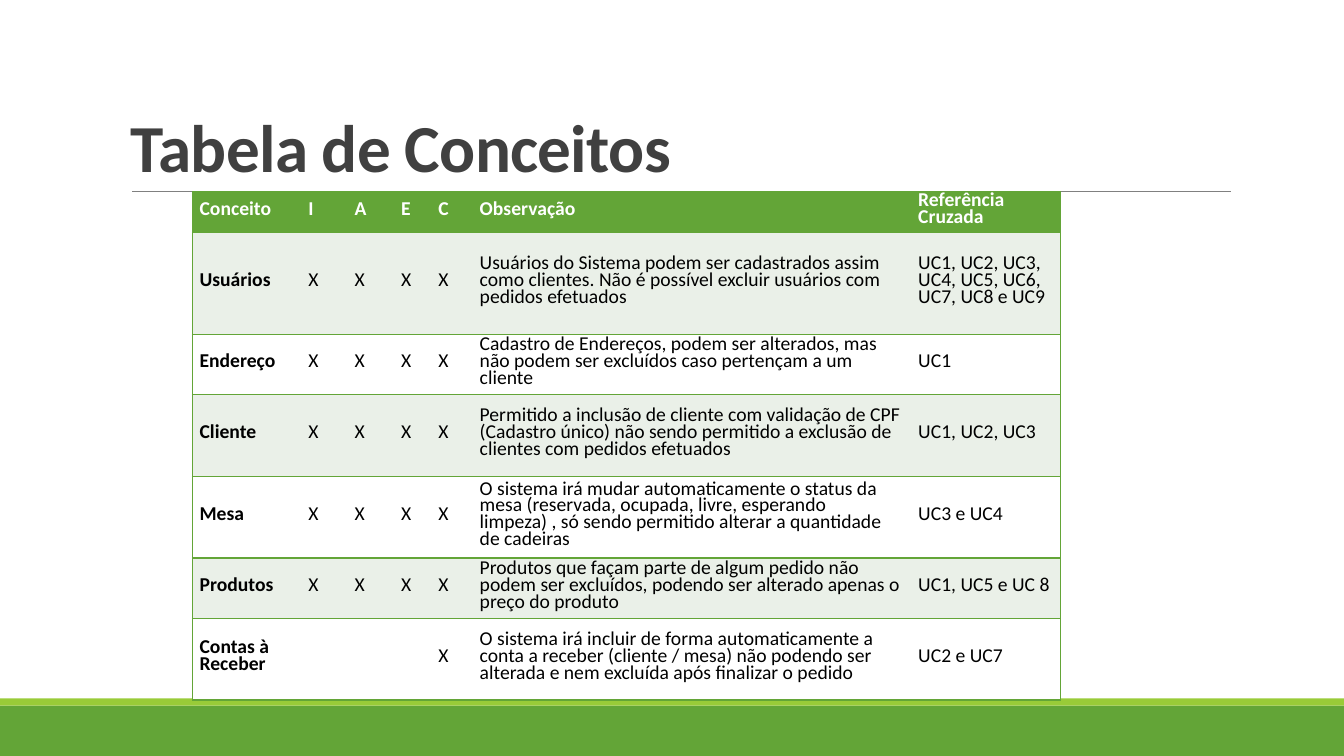
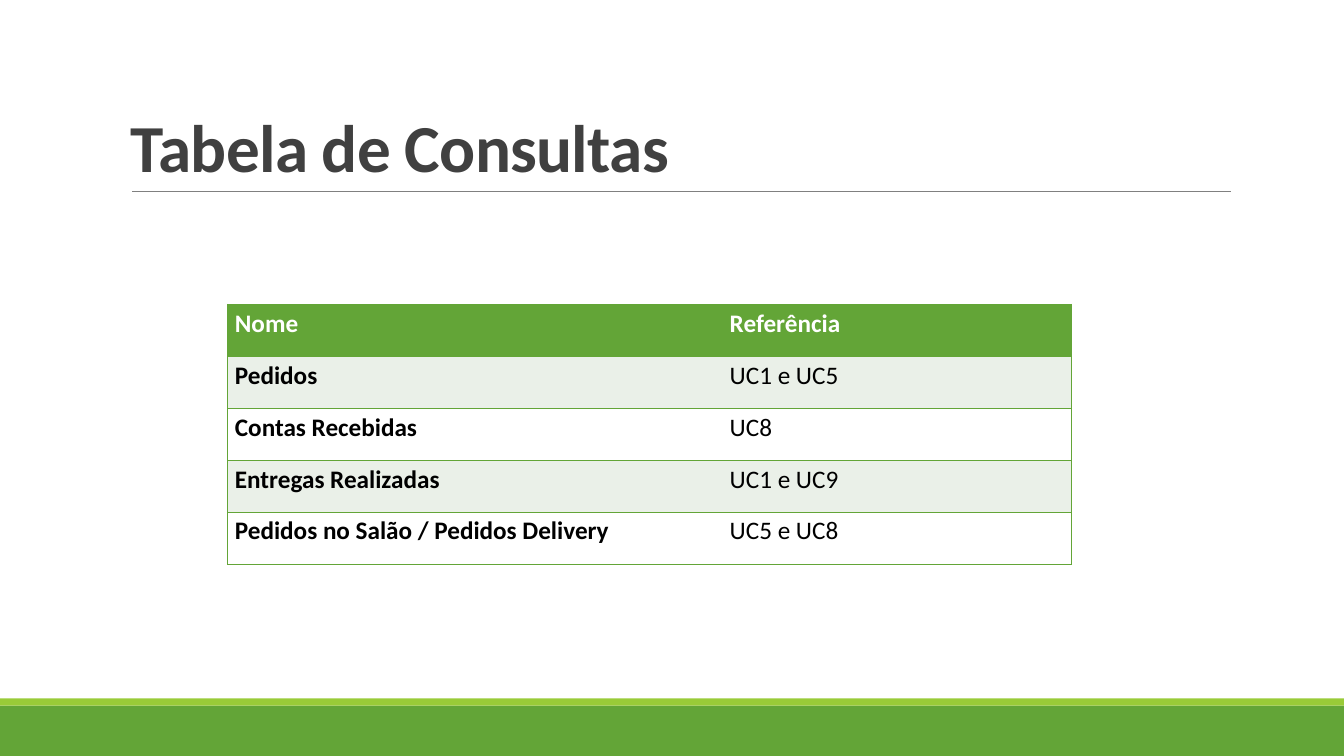
from lxml import etree
from pptx import Presentation
from pptx.dml.color import RGBColor
from pptx.enum import shapes, text
from pptx.oxml import ns
from pptx.util import Cm, Pt

GREEN = RGBColor(0x63, 0xA5, 0x37)
LIME = RGBColor(0x99, 0xCB, 0x38)
GRAY = RGBColor(0x80, 0x80, 0x80)
DARK = RGBColor(0x40, 0x40, 0x40)
PALE = RGBColor(0xEA, 0xF0, 0xE8)
WHITE = RGBColor(0xFF, 0xFF, 0xFF)
BLACK = RGBColor(0, 0, 0)

FONT = "Calibri"
SLIDE_WIDTH, SLIDE_HEIGHT = 33.87, 19.05
RULE_LEFT, RULE_RIGHT, RULE_TOP = 3.33, 31.01, 4.83

CONCEPT_COLUMNS = [2.74, 1.17, 1.17, 0.94, 1.04, 11.05, 3.76]
CONCEPT_ROWS = [1.02, 2.57, 1.52, 2.06, 2.06, 1.52, 2.06]
CONCEPTS = [
    ["Conceito", "I", "A", "E", "C", "Observação", "Referência Cruzada"],
    ["Usuários", *"XXXX",
     "Usuários do Sistema podem ser cadastrados assim como clientes. "
     "Não é possível excluir usuários com pedidos efetuados",
     "UC1, UC2, UC3, UC4, UC5, UC6, UC7, UC8 e UC9"],
    ["Endereço", *"XXXX",
     "Cadastro de Endereços, podem ser alterados, mas não podem ser "
     "excluídos caso pertençam a um cliente",
     "UC1"],
    ["Cliente", *"XXXX",
     "Permitido a inclusão de cliente com validação de CPF (Cadastro único) "
     "não sendo permitido a exclusão de clientes com pedidos efetuados",
     "UC1, UC2, UC3"],
    ["Mesa", *"XXXX",
     "O sistema irá mudar automaticamente o status da mesa (reservada, "
     "ocupada, livre, esperando limpeza) , só sendo permitido alterar a "
     "quantidade de cadeiras",
     "UC3 e UC4"],
    ["Produtos", *"XXXX",
     "Produtos que façam parte de algum pedido não podem ser excluídos, "
     "podendo ser alterado apenas o preço do produto",
     "UC1, UC5 e UC 8"],
    ["Contas à Receber", "", "", "", "X",
     "O sistema irá incluir de forma automaticamente a conta a receber "
     "(cliente / mesa) não podendo ser alterada e nem excluída após "
     "finalizar o pedido",
     "UC2 e UC7"],
]

QUERY_COLUMNS = [12.47, 8.79]
QUERIES = [
    ["Nome", "Referência"],
    ["Pedidos", "UC1 e UC5"],
    ["Contas Recebidas", "UC8"],
    ["Entregas Realizadas", "UC1 e UC9"],
    ["Pedidos no Salão / Pedidos Delivery", "UC5 e UC8"],
]


def write(frame, words, *, size, color, bold=False, line_spacing=None, tracking=None):
    paragraph = frame.paragraphs[0]
    paragraph.line_spacing = line_spacing
    paragraph.font.size = Pt(size)
    if not words:
        return
    run = paragraph.add_run()
    run.text = words
    run.font.name = FONT
    run.font.size = Pt(size)
    run.font.bold = bold
    run.font.color.rgb = color
    if tracking is not None:
        run._r.get_or_add_rPr().set("spc", str(round(tracking * 100)))


def set_borders(cell, visible_sides):
    """Draw green edges on the sides given (from "LRTB") and clear the others."""
    properties = cell._tc.get_or_add_tcPr()
    for side in "LRTB":
        edge = etree.SubElement(properties, ns.qn(f"a:ln{side}"), w=str(Pt(1)))
        if side in visible_sides:
            paint = etree.SubElement(edge, ns.qn("a:solidFill"))
            etree.SubElement(paint, ns.qn("a:srgbClr"), val=str(GREEN))
        else:
            etree.SubElement(edge, ns.qn("a:noFill"))


class Deck:
    def __init__(self):
        self.presentation = Presentation()
        self.presentation.slide_width = Cm(SLIDE_WIDTH)
        self.presentation.slide_height = Cm(SLIDE_HEIGHT)
        self.slide = None

    def new_slide(self, title):
        self.slide = self.presentation.slides.add_slide(self.presentation.slide_layouts[6])
        self.band(17.78, 1.27, GREEN)
        self.band(17.6, 0.18, LIME)
        self.rule()
        self.title(title)

    def band(self, top, height, color):
        band = self.slide.shapes.add_shape(
            shapes.MSO_SHAPE.RECTANGLE, 0, Cm(top), Cm(SLIDE_WIDTH), Cm(height))
        band.shadow.inherit = False
        band.fill.solid()
        band.fill.fore_color.rgb = color
        band.line.fill.background()

    def rule(self):
        rule = self.slide.shapes.add_connector(
            shapes.MSO_CONNECTOR.STRAIGHT,
            Cm(RULE_LEFT), Cm(RULE_TOP), Cm(RULE_RIGHT), Cm(RULE_TOP))
        rule.line.color.rgb = GRAY
        rule.line.width = Pt(0.5)
        etree.SubElement(rule._element.spPr, ns.qn("a:effectLst"))

    def title(self, words):
        frame = self.slide.shapes.add_textbox(
            Cm(3.05), Cm(0.79), Cm(27.94), Cm(4.04)).text_frame
        frame.word_wrap = True
        frame.vertical_anchor = text.MSO_ANCHOR.BOTTOM
        write(frame, words, size=48, color=DARK, bold=True,
              line_spacing=0.85, tracking=-0.5)

    def table(self, left, top, widths, heights, rows, size):
        table = self.slide.shapes.add_table(
            len(rows), len(widths), Cm(left), Cm(top),
            Cm(sum(widths)), Cm(sum(heights))).table
        for column, width in zip(table.columns, widths):
            column.width = Cm(width)
        for row, height in zip(table.rows, heights):
            row.height = Cm(height)
        last = len(widths) - 1
        for r, row in enumerate(rows):
            for c, words in enumerate(row):
                cell = table.cell(r, c)
                cell.margin_left = cell.margin_right = Cm(0.18)
                cell.margin_top = cell.margin_bottom = 0
                cell.vertical_anchor = text.MSO_ANCHOR.MIDDLE
                set_borders(cell, "TB" + "L" * (c == 0) + "R" * (c == last))
                cell.fill.solid()
                cell.fill.fore_color.rgb = GREEN if r == 0 else PALE if r % 2 else WHITE
                write(cell.text_frame, words, size=size,
                      color=BLACK if r else WHITE,
                      bold=r == 0 or c == 0, line_spacing=Pt(12))


def main():
    deck = Deck()
    deck.new_slide("Tabela de Conceitos")
    deck.table(4.85, RULE_TOP, CONCEPT_COLUMNS, CONCEPT_ROWS, CONCEPTS, size=14)
    deck.new_slide("Tabela de Consultas")
    deck.table(5.74, 7.67, QUERY_COLUMNS, [1.31] * len(QUERIES), QUERIES, size=18)
    deck.presentation.save("out.pptx")


if __name__ == "__main__":
    main()
